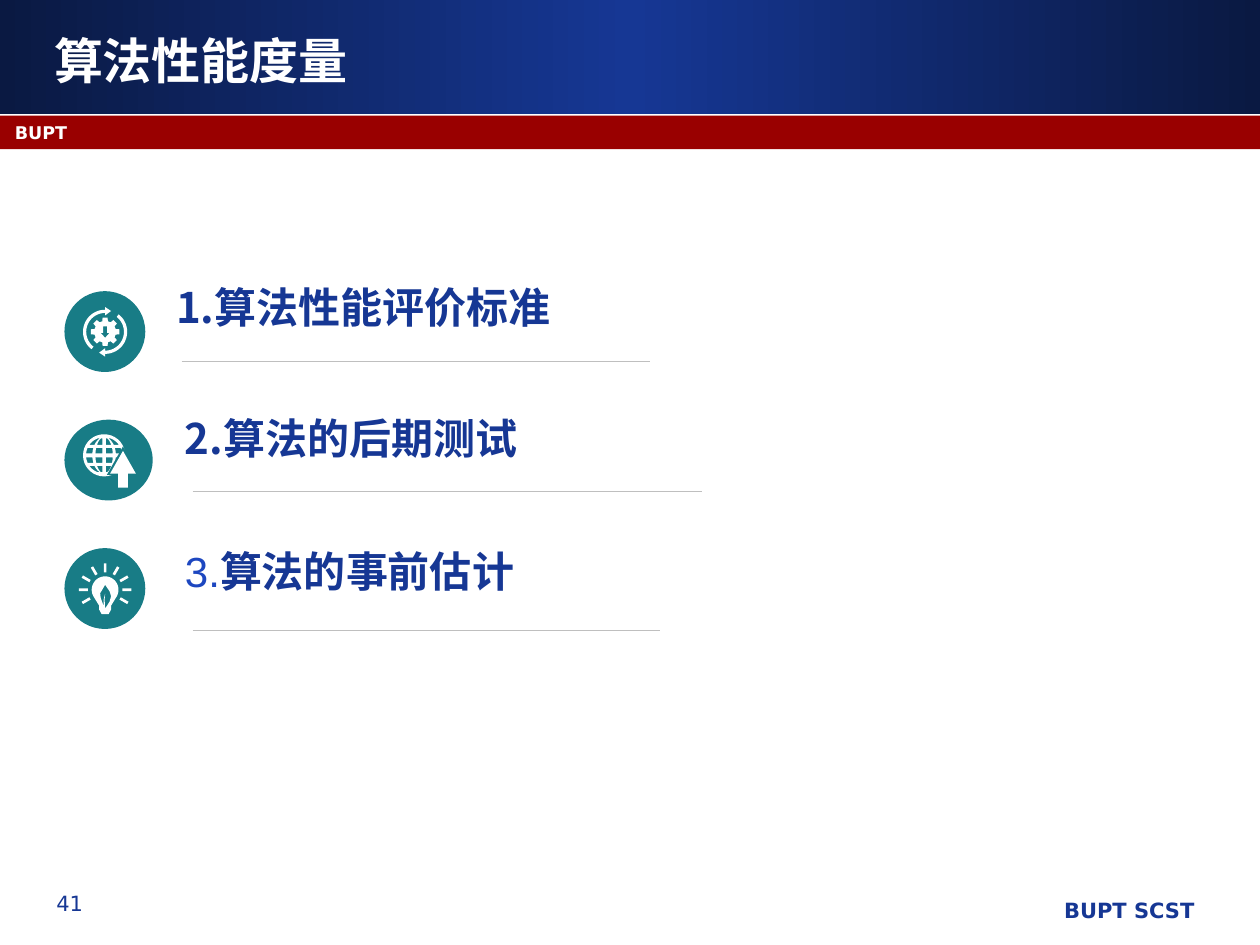
import math
import pptx
import pptx.dml.color
import pptx.enum.shapes
import pptx.enum.text
import pptx.oxml.ns
import pptx.util
from lxml import etree
from pptx.util import Cm

COLORS = {
    "navy": "163794", "dark": "0A1942", "red": "990000", "teal": "187C86",
    "white": "FFFFFF", "rule": "BFBFBF", "blue": "1D47C0",
}
CJK, LATIN = "Noto Sans CJK SC", "DejaVu Sans"
MSO = pptx.enum.shapes.MSO_SHAPE
ALIGN = pptx.enum.text.PP_ALIGN


def rgb(name):
    return pptx.dml.color.RGBColor.from_string(COLORS[name])


def paint(sp, color):
    sp.shadow.inherit = False
    sp.fill.solid()
    sp.fill.fore_color.rgb = rgb(color)
    sp.line.fill.background()


def add_block(shapes, kind, left, top, width, height, color):
    sp = shapes.add_shape(kind, Cm(left), Cm(top), Cm(width), Cm(height))
    paint(sp, color)
    return sp


def add_text(shapes, box, runs, size, align=ALIGN.LEFT):
    """Each run is (text, font, color, bold)."""
    sp = shapes.add_textbox(*(Cm(v) for v in box))
    tf = sp.text_frame
    tf.word_wrap = True
    p = tf.paragraphs[0]
    p.alignment = align
    for text, font, color, bold in runs:
        r = p.add_run()
        r.text = text
        r.font.name, r.font.size, r.font.bold = font, pptx.util.Pt(size), bold
        r.font.color.rgb = rgb(color)
        if font == CJK:
            ea = etree.SubElement(r.font._element, pptx.oxml.ns.qn("a:ea"))
            ea.set("typeface", font)
    return tf


def add_rule(shapes, left, top, width):
    line = shapes.add_connector(pptx.enum.shapes.MSO_CONNECTOR.STRAIGHT,
                                Cm(left), Cm(top), Cm(left + width), Cm(top))
    line.line.color.rgb = rgb("rule")
    line.line.width = pptx.util.Pt(0.25)
    etree.SubElement(line._element.spPr, pptx.oxml.ns.qn("a:effectLst"))


def add_outline(shapes, cx, cy, contours):
    """Draw closed contours, in mm around a centre in cm, as one white shape."""
    fb = None
    for contour in contours:
        pts = [(Cm(cx + x / 10), Cm(cy + y / 10)) for x, y in contour]
        if fb is None:
            fb = shapes.build_freeform(*pts[0])
        else:
            fb.move_to(*pts[0])
        fb.add_line_segments(pts[1:], close=True)
    sp = fb.convert_to_shape()
    paint(sp, "white")
    return sp


def polar(radius, degrees):
    a = math.radians(degrees)
    return radius * math.cos(a), radius * math.sin(a)


def arc(radius, start, end, steps=36):
    return [polar(radius, start + (end - start) * i / steps) for i in range(steps + 1)]


def draw_gear(shapes):
    gear = [polar(radius, tooth * 45 + offset) for tooth in range(8)
            for radius, offset in ((2.2, -15), (2.9, -10), (2.9, 10), (2.2, 15))]
    down = [(-0.4, -1.1), (0.4, -1.1), (0.4, 0.2), (0.9, 0.2),
            (0, 1.2), (-0.9, 0.2), (-0.4, 0.2)]
    sweep = arc(4.45, -52, 90) + [(0, 5), (-1.2, 4.2), (0, 3.3)] + arc(3.8, 90, -52)
    turned = [(-x, -y) for x, y in sweep]
    add_outline(shapes, 2.12, 6.69, [gear, down, sweep, turned])


def draw_globe(shapes):
    radius = 3.65

    def pane(top, bottom, inner, outer):
        ys = [top + (bottom - top) * i / 8 for i in range(9)]
        half = [math.sqrt(radius ** 2 - y ** 2) for y in ys]
        return ([(max(0.35, inner * w), y) for w, y in zip(half, ys)]
                + [(outer * w, y) for w, y in zip(half[::-1], ys[::-1])])

    panes = [[(sx * x, sy * y) for x, y in pane(*rows, *cols)]
             for rows in ((0.4, 1.5), (2.1, 3.4))
             for cols in ((0, 0.48), (0.65, 1))
             for sx in (1, -1) for sy in (1, -1)]
    add_outline(shapes, 2.1, 9.18, [arc(4.25, 0, 360)] + panes)
    up = [(0, -3.6), (2.6, 1), (1, 1), (1, 3.8), (-1, 3.8), (-1, 1), (-2.6, 1)]
    for grow, color in ((1.25, "teal"), (1, "white")):
        arrow = add_outline(shapes, 2.48, 9.45, [[(x * grow, y * grow) for x, y in up]])
        paint(arrow, color)


def draw_bulb(shapes):
    bulb = arc(2.7, 150, 390) + [(1.2, 3.2), (1.2, 4), (0.7, 4.9),
                                 (-0.7, 4.9), (-1.2, 4), (-1.2, 3.2)]
    leaf = [(0, -1), (-1, 0.7), (-0.9, 1.6), (-0.3, 3.3), (-0.3, 2), (0, 0.8),
            (-0.1, 2), (0, 3.8), (0.9, 2.4), (1.2, 1.3), (0.9, 0.3)]
    rays = []
    for angle in range(-210, 31, 30):
        dx, dy = polar(0.27, angle + 90)
        (x1, y1), (x2, y2) = polar(3.5, angle), polar(5.3, angle)
        rays.append([(x1 + dx, y1 + dy), (x2 + dx, y2 + dy),
                     (x2 - dx, y2 - dy), (x1 - dx, y1 - dy)])
    add_outline(shapes, 2.12, 11.89, [bulb, leaf] + rays)


def add_frame(shapes):
    band = add_block(shapes, MSO.RECTANGLE, 0, 0, 25.4, 2.31, "navy")
    xml = ('<a:gradFill xmlns:a="http://schemas.openxmlformats.org/drawingml/2006/main"><a:gsLst>'
           + "".join(f'<a:gs pos="{pos}"><a:srgbClr val="{COLORS[c]}"/></a:gs>'
                     for pos, c in ((0, "dark"), (50000, "navy"), (100000, "dark")))
           + '</a:gsLst><a:lin ang="0" scaled="1"/></a:gradFill>')
    solid = band._element.spPr.find(pptx.oxml.ns.qn("a:solidFill"))
    solid.getparent().replace(solid, etree.fromstring(xml))
    add_block(shapes, MSO.RECTANGLE, 0, 2.33, 25.4, 0.68, "red")
    tf = add_text(shapes, (0.84, 0.43, 23.5, 1.57), [("算法性能度量", CJK, "white", True)], 28)
    tf.vertical_anchor = pptx.enum.text.MSO_ANCHOR.MIDDLE
    add_text(shapes, (10.69, 17.96, 13.64, 0.89),
             [("BUPT SCST", LATIN, "navy", True)], 12, ALIGN.RIGHT)
    add_text(shapes, (0.3, 17.83, 2.21, 0.89),
             [("41", LATIN, "navy", False)], 12, ALIGN.CENTER)
    add_text(shapes, (0.05, 2.33, 23.5, 0.64), [("BUPT", LATIN, "white", True)], 10)


def add_topics(s):
    # icon, disc width, text left / top / width, rule left / top / width, runs
    topics = [
        (draw_gear, 1.63, (3.3, 5.56, 12.67), (3.66, 7.29, 9.45),
         [("1.算法性能评价标准", CJK, "navy", True)]),
        (draw_globe, 1.78, (3.48, 8.2, 12.32), (3.89, 9.91, 10.26),
         [("2.算法的后期测试", CJK, "navy", True)]),
        (draw_bulb, 1.63, (3.48, 10.87, 12.57), (3.89, 12.7, 9.42),
         [("3.", "Arial", "blue", False), ("算法的事前估计", CJK, "navy", True)]),
    ]
    for i, (draw_icon, disc, text, rule, runs) in enumerate(topics):
        shapes = s.shapes.add_group_shape().shapes
        add_block(shapes, MSO.OVAL, 1.3, 5.87 + 2.59 * i, disc, 1.63, "teal")
        draw_icon(shapes)
        add_rule(shapes, *rule)
        tf = add_text(shapes, (*text, 1.27), runs, 24)
        tf.auto_size = pptx.enum.text.MSO_AUTO_SIZE.SHAPE_TO_FIT_TEXT


def main():
    prs = pptx.Presentation()
    prs.slide_width, prs.slide_height = Cm(25.4), Cm(19.05)
    s = prs.slides.add_slide(prs.slide_layouts[6])
    add_frame(s.shapes)
    add_topics(s)
    prs.save("out.pptx")


if __name__ == "__main__":
    main()
